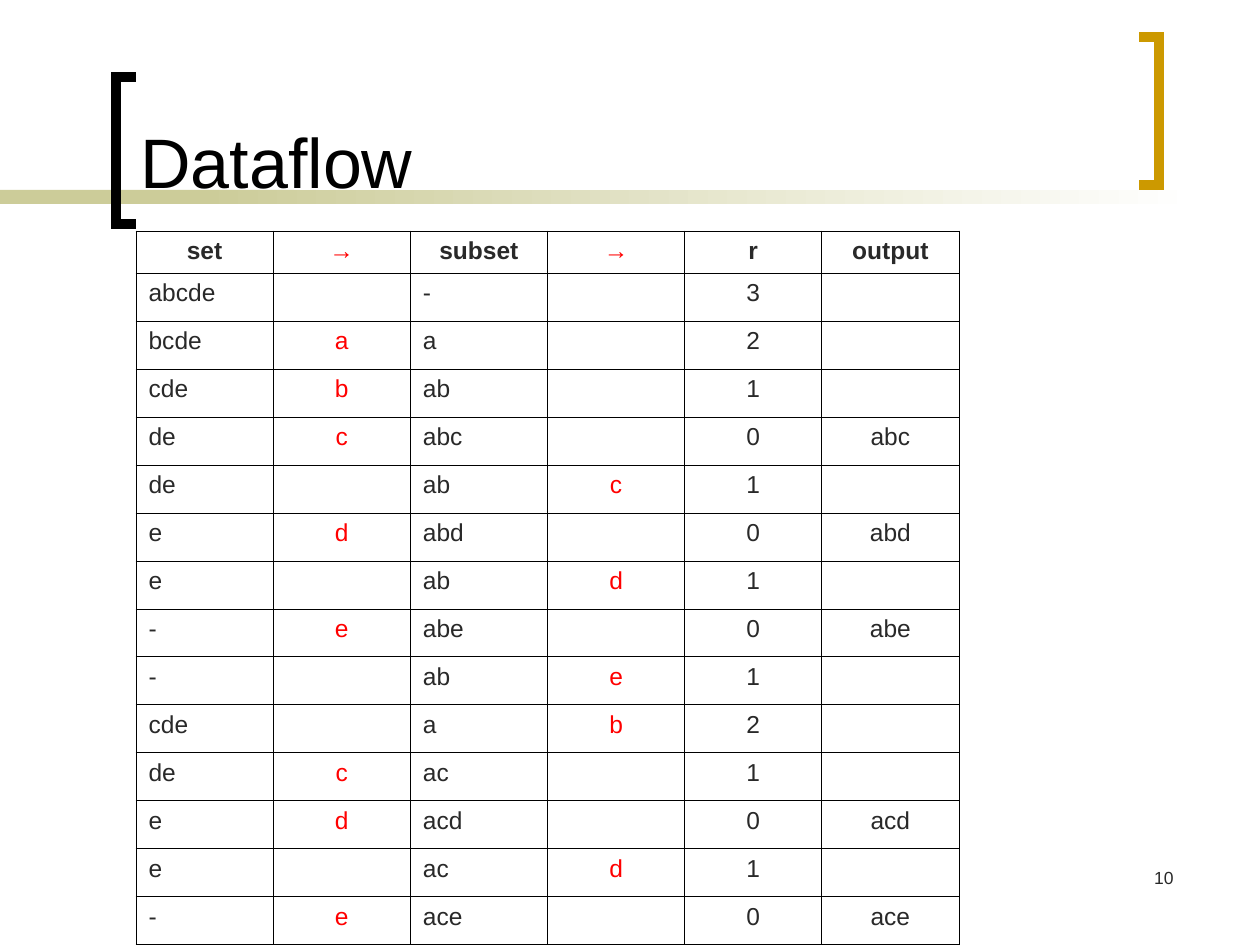
from lxml import etree
from pptx import Presentation
from pptx.dml.color import RGBColor
from pptx.enum.shapes import MSO_SHAPE
from pptx.enum.text import MSO_ANCHOR, PP_ALIGN
from pptx.oxml.ns import qn
from pptx.util import Pt

RECT = MSO_SHAPE.RECTANGLE
TOP, BOTTOM = MSO_ANCHOR.TOP, MSO_ANCHOR.BOTTOM
LEFT, CENTER, RIGHT = PP_ALIGN.LEFT, PP_ALIGN.CENTER, PP_ALIGN.RIGHT
BLACK = RGBColor(0x00, 0x00, 0x00)
WHITE = RGBColor(0xFF, 0xFF, 0xFF)
KHAKI = RGBColor(0xCC, 0xCC, 0x99)
GOLD = RGBColor(0xCC, 0x99, 0x00)
INK = RGBColor(0x29, 0x29, 0x29)
RED = RGBColor(0xFF, 0x00, 0x00)
FONT = "Arial"
HEADER_H, ROW_H = 42, 48
HEADER = ["set", "→", "subset", "→", "r", "output"]
STEPS = [
    ["abcde", "", "-", "", "3", ""],
    ["bcde", "a", "a", "", "2", ""],
    ["cde", "b", "ab", "", "1", ""],
    ["de", "c", "abc", "", "0", "abc"],
    ["de", "", "ab", "c", "1", ""],
    ["e", "d", "abd", "", "0", "abd"],
    ["e", "", "ab", "d", "1", ""],
    ["-", "e", "abe", "", "0", "abe"],
    ["-", "", "ab", "e", "1", ""],
    ["cde", "", "a", "b", "2", ""],
    ["de", "c", "ac", "", "1", ""],
    ["e", "d", "acd", "", "0", "acd"],
    ["e", "", "ac", "d", "1", ""],
    ["-", "e", "ace", "", "0", "ace"],
]


def px(n):
    """Turn px at 126 to the inch into EMU."""
    return round(n * 914400 / 126)


def style(p, size, color, align=LEFT, bold=False):
    """Set the font and alignment of a paragraph."""
    p.alignment = align
    f = p.font
    f.name, f.size, f.bold = FONT, Pt(size), bold
    f.color.rgb = color


def add_text(s, x, y, w, h, text, size, color, align, anchor):
    """Place one line of text in a box."""
    tf = s.shapes.add_textbox(px(x), px(y), px(w), px(h)).text_frame
    tf.word_wrap = True
    tf.vertical_anchor = anchor
    p = tf.paragraphs[0]
    p.text = text
    style(p, size, color, align)


def add_band(s, x, y, w, h, solid_w, fade_x):
    """Draw the band: a solid start and a part that fades to white."""
    solid = s.shapes.add_shape(RECT, px(x), px(y), px(solid_w), px(h))
    solid.fill.solid()
    solid.fill.fore_color.rgb = KHAKI
    fade = s.shapes.add_shape(RECT, px(x + fade_x), px(y), px(w - fade_x), px(h))
    fade.fill.gradient()
    fade.fill.gradient_angle = 0
    for stop, color, position in zip(fade.fill.gradient_stops, (KHAKI, WHITE), (0, 1)):
        stop.color.rgb = color
        stop.position = position
    for sp in (solid, fade):
        sp.line.fill.background()
        sp.shadow.inherit = False


def add_bracket(s, x, y, w, h, color, opens_right):
    """Draw a square bracket along the edges of its box."""
    tip, spine = (x + w, x) if opens_right else (x, x + w)
    fb = s.shapes.build_freeform(px(tip), px(y))
    corners = [(spine, y), (spine, y + h), (tip, y + h)]
    fb.add_line_segments([(px(a), px(b)) for a, b in corners], close=False)
    sp = fb.convert_to_shape()
    sp.shadow.inherit = False
    sp.fill.background()
    sp.line.color.rgb = color
    sp.line.width = Pt(6)
    etree.SubElement(sp.line._get_or_add_ln(), qn("a:miter"), lim="800000")


def add_borders(cell):
    """Rule all four sides of a cell in thin black."""
    tcPr = cell._tc.get_or_add_tcPr()
    for i, side in enumerate(("lnL", "lnR", "lnT", "lnB")):
        ln = etree.Element(qn(f"a:{side}"), w=str(Pt(0.45)))
        fill = etree.SubElement(ln, qn("a:solidFill"))
        etree.SubElement(fill, qn("a:srgbClr"), val=str(BLACK))
        tcPr.insert(i, ln)


def add_steps_table(s, x, y, w):
    """Build the table of steps, with moved letters in red."""
    rows = [HEADER] + STEPS
    h = HEADER_H + ROW_H * len(STEPS)
    frame = s.shapes.add_table(len(rows), len(HEADER), px(x), px(y), px(w), px(h))
    table = frame.table
    table.first_row = table.horz_banding = False
    for col in table.columns:
        col.width = px(w / len(HEADER))
    for i, values in enumerate(rows):
        table.rows[i].height = px(ROW_H if i else HEADER_H)
        for j, value in enumerate(values):
            cell = table.cell(i, j)
            cell.fill.background()
            add_borders(cell)
            p = cell.text_frame.paragraphs[0]
            p.text = value
            align = LEFT if i and j in (0, 2) else CENTER
            style(p, 14, RED if j in (1, 3) else INK, align, bold=i == 0)
            if not value:
                etree.SubElement(p._p, qn("a:endParaRPr"), sz="1400")


def main():
    """Build the dataflow slide."""
    prs = Presentation()
    prs.slide_width, prs.slide_height = px(1260), px(945)
    s = prs.slides.add_slide(prs.slide_layouts[6])
    add_band(s, 0, 190, 1197, 14, solid_w=294, fade_x=199)
    add_bracket(s, 116, 77, 20, 147, BLACK, opens_right=True)
    add_bracket(s, 1139, 37, 20, 148, GOLD, opens_right=False)
    add_text(s, 924, 861, 262, 63, "10", 10, INK, RIGHT, TOP)
    add_steps_table(s, 136, 231, 823)
    add_text(s, 128, 14, 987, 195, "Dataflow", 40, BLACK, LEFT, BOTTOM)
    prs.save("out.pptx")


if __name__ == "__main__":
    main()
